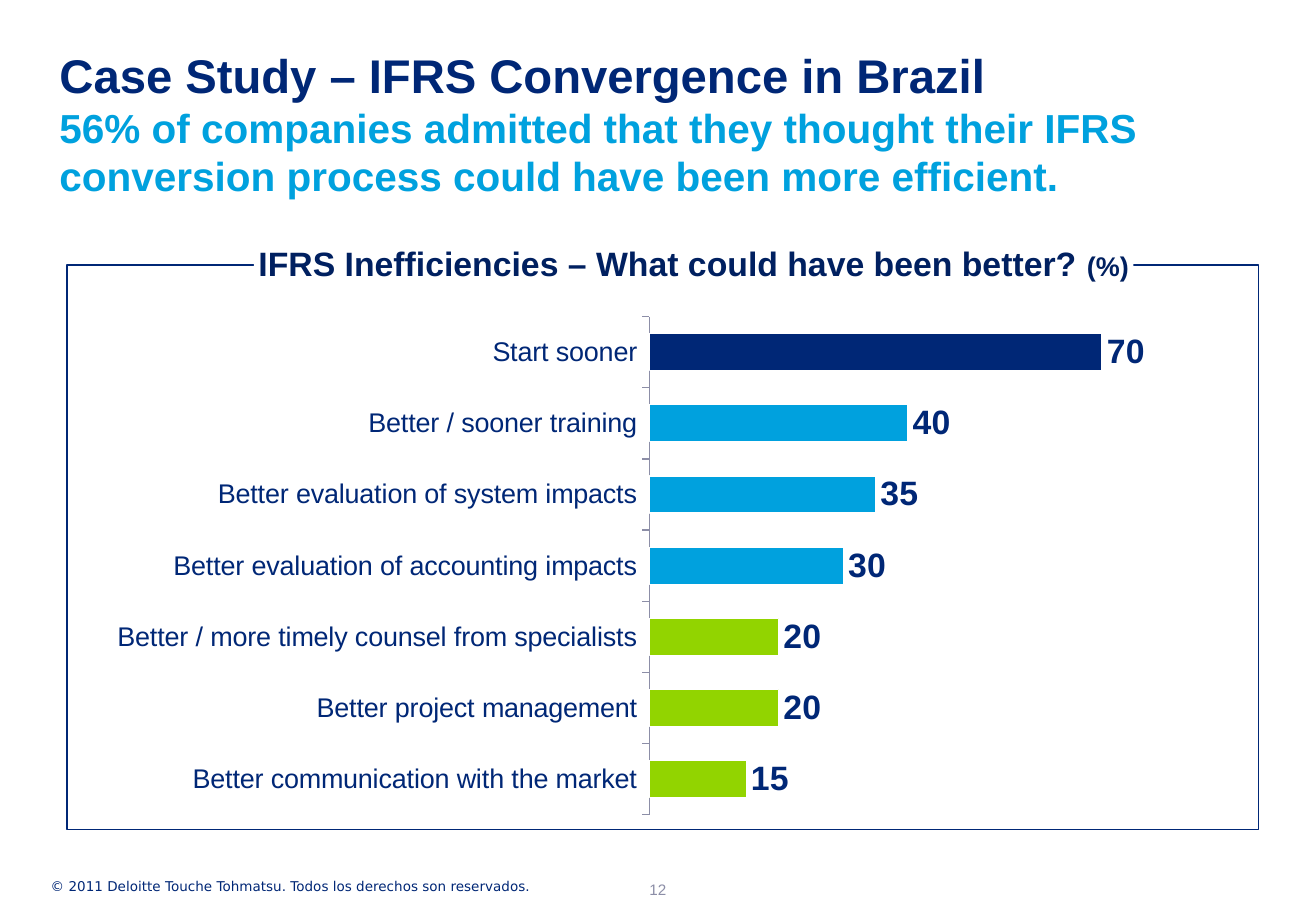
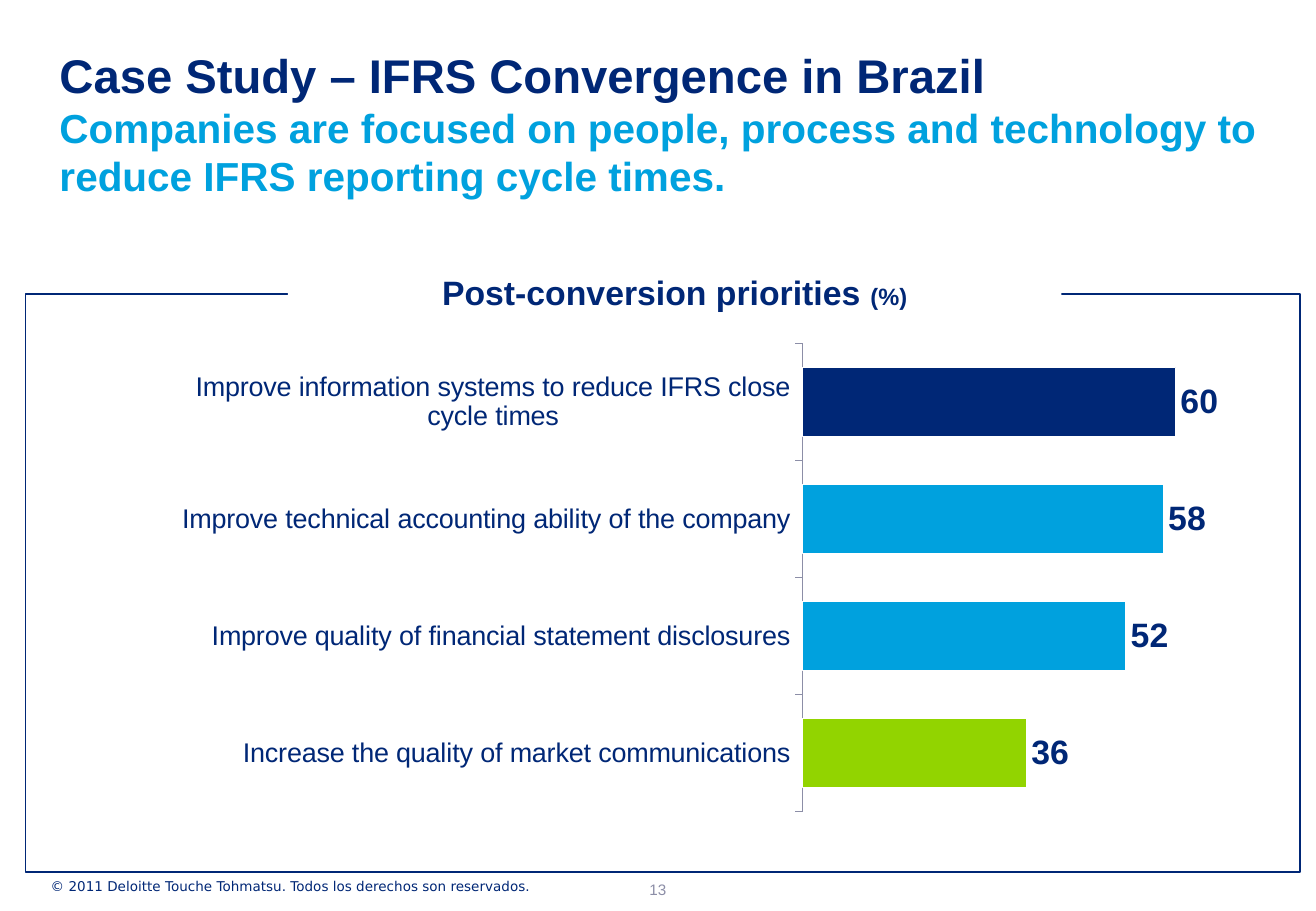
"""Build two slides of horizontal bar charts on IFRS convergence in Brazil."""
import dataclasses

import pptx
import pptx.chart.data
import pptx.dml.color
import pptx.enum.chart
import pptx.enum.shapes
import pptx.enum.text
import pptx.oxml
import pptx.oxml.ns
import pptx.util

Pt = pptx.util.Pt
Color = pptx.dml.color.RGBColor.from_string
Align = pptx.enum.text.PP_ALIGN
Anchor = pptx.enum.text.MSO_ANCHOR


@dataclasses.dataclass(frozen=True)
class Theme:
    navy: str = "002776"
    deep_navy: str = "002060"
    blue: str = "00A1DE"
    green: str = "92D400"
    gray: str = "8C8EA7"
    white: str = "FFFFFF"
    font: str = "Arial"
    footer_font: str = "DejaVu Sans"
    title_size: int = 28
    subtitle_size: int = 24
    caption_size: int = 20
    label_size: int = 16
    number_size: int = 9
    footer_size: int = 8


theme = Theme()


def style_font(font, size, color, bold=False, name=theme.font):
    for key, value in {"name": name, "size": Pt(size), "bold": bold}.items():
        setattr(font, key, value)
    font.color.rgb = Color(color)


def write_text(box, spans, align=Align.LEFT, anchor=Anchor.TOP, margins=(0, 0), line=None):
    frame = box.text_frame
    across, down = Pt(margins[0]), Pt(margins[1])
    settings = {
        "word_wrap": True, "vertical_anchor": anchor,
        "margin_left": across, "margin_right": across,
        "margin_top": down, "margin_bottom": down,
    }
    for key, value in settings.items():
        setattr(frame, key, value)
    para = frame.paragraphs[0]
    para.alignment = align
    if line:
        para.line_spacing = Pt(line)
    for text, font_values in spans:
        span = para.add_run()
        span.text = text
        style_font(span.font, **font_values)


pages = [
    {
        "number": "12",
        "subtitle": "56% of companies admitted that they thought their IFRS "
                    "conversion process could have been more efficient.",
        "frame": (39.6, 157, 706.3, 334.8),
        "caption_box": (150.5, 144, 521.3, 24.5),
        "caption": "IFRS Inefficiencies – What could have been better? ",
        "caption_color": theme.deep_navy,
        "unit_size": 16,
        "chart_box": (46.1, 179.3, 694.1, 311.8),
        "plot": {"x": 0.488, "y": 0.027, "w": 0.442, "h": 0.947},
        "maximum": 80,
        "gap": 92,
        "bars": [
            ("Better communication with the market", 15, theme.green),
            ("Better project management", 20, theme.green),
            ("Better / more timely counsel from specialists", 20, theme.green),
            ("Better evaluation of accounting impacts", 30, theme.blue),
            ("Better evaluation of system impacts", 35, theme.blue),
            ("Better / sooner training", 40, theme.blue),
            ("Start sooner", 70, theme.navy),
        ],
    },
    {
        "number": "13",
        "subtitle": "Companies are focused on people, process and technology to "
                    "reduce IFRS reporting cycle times.",
        "frame": (15.1, 174.2, 755.3, 342.7),
        "caption_box": (170.6, 161.3, 458.6, 24.5),
        "caption": "Post-conversion priorities ",
        "caption_color": theme.navy,
        "unit_size": 14,
        "chart_box": (95.8, 198, 632.2, 289.4),
        "plot": {"x": 0.601, "y": 0.019, "w": 0.379, "h": 0.96},
        "maximum": 65,
        "gap": 70,
        "bars": [
            ("Increase the quality of market communications", 36, theme.green),
            ("Improve quality of financial statement disclosures", 52, theme.blue),
            ("Improve technical accounting ability of the company", 58, theme.blue),
            ("Improve information systems to reduce IFRS close cycle times", 60, theme.navy),
        ],
    },
]

deck = pptx.Presentation()
deck.slide_width, deck.slide_height = Pt(780), Pt(540)

for page in pages:
    slide = deck.slides.add_slide(deck.slide_layouts[6])
    shapes = slide.shapes

    title = shapes.add_textbox(Pt(35.3), Pt(35.3), Pt(710.6), Pt(25.9))
    write_text(title, [("Case Study – IFRS Convergence in Brazil",
                        {"size": theme.title_size, "color": theme.navy, "bold": True})],
               anchor=Anchor.BOTTOM, line=26)
    subtitle = shapes.add_textbox(Pt(35.3), Pt(61.2), Pt(710.6), Pt(58.3))
    write_text(subtitle, [(page["subtitle"],
                           {"size": theme.subtitle_size, "color": theme.blue, "bold": True})],
               line=28.5)

    rectangle = pptx.enum.shapes.MSO_SHAPE.RECTANGLE
    border = shapes.add_shape(rectangle, *map(Pt, page["frame"]))
    border.shadow.inherit = False
    border.fill.background()
    border.line.color.rgb = Color(theme.navy)
    border.line.width = Pt(1)

    caption = shapes.add_shape(rectangle, *map(Pt, page["caption_box"]))
    caption.shadow.inherit = False
    caption.fill.solid()
    caption.fill.fore_color.rgb = Color(theme.white)
    caption.line.fill.background()
    caption_font = {"color": page["caption_color"], "bold": True}
    write_text(caption, [(page["caption"], {"size": theme.caption_size, **caption_font}),
                         ("(%)", {"size": page["unit_size"], **caption_font})],
               align=Align.CENTER)

    names, values, colors = zip(*page["bars"])
    data = pptx.chart.data.CategoryChartData()
    data.categories = names
    data.add_series("Series 1", values)
    chart = shapes.add_chart(pptx.enum.chart.XL_CHART_TYPE.BAR_CLUSTERED,
                             *map(Pt, page["chart_box"]), data).chart
    chart.has_title = False
    chart.has_legend = False
    style_font(chart.font, 18, theme.navy)

    category_axis = chart.category_axis
    category_axis.major_tick_mark = pptx.enum.chart.XL_TICK_MARK.OUTSIDE
    category_axis.has_major_gridlines = False
    category_axis.format.line.color.rgb = Color(theme.gray)
    category_axis.format.line.width = Pt(0.75)
    style_font(category_axis.tick_labels.font, theme.label_size, theme.navy)
    axis_settings = {"minimum_scale": 0, "maximum_scale": page["maximum"],
                     "has_major_gridlines": False, "visible": False}
    for key, value in axis_settings.items():
        setattr(chart.value_axis, key, value)

    plot = chart.plots[0]
    plot.gap_width = page["gap"]
    plot.vary_by_categories = False
    plot.has_data_labels = True
    labels = plot.data_labels
    labels.show_value = True
    labels.position = pptx.enum.chart.XL_LABEL_POSITION.OUTSIDE_END
    style_font(labels.font, theme.caption_size, theme.navy, bold=True)

    series = plot.series[0]
    series.invert_if_negative = False
    series.format.fill.solid()
    series.format.fill.fore_color.rgb = Color(theme.blue)
    for index, color in enumerate(colors):
        bar = series.points[index].format
        bar.fill.solid()
        bar.fill.fore_color.rgb = Color(color)
        bar.line.color.rgb = Color(theme.white)
        bar.line.width = Pt(0.75)

    plot_area = chart.element.find(".//" + pptx.oxml.ns.qn("c:plotArea"))
    for old_layout in plot_area.findall(pptx.oxml.ns.qn("c:layout")):
        plot_area.remove(old_layout)
    settings = '<c:layoutTarget val="inner"/><c:xMode val="edge"/><c:yMode val="edge"/>'
    settings += "".join(f'<c:{key} val="{value}"/>' for key, value in page["plot"].items())
    plot_area.insert(0, pptx.oxml.parse_xml(
        f'<c:layout {pptx.oxml.ns.nsdecls("c")}><c:manualLayout>{settings}'
        '</c:manualLayout></c:layout>'))

    footer = shapes.add_textbox(Pt(23), Pt(517), Pt(401.8), Pt(17.3))
    write_text(footer, [("© 2011 Deloitte Touche Tohmatsu. Todos los derechos son reservados.",
                         {"size": theme.footer_size, "color": theme.navy,
                          "name": theme.footer_font})], margins=(7.2, 3.6))
    number = shapes.add_textbox(Pt(298.8), Pt(507.6), Pt(182.2), Pt(28.8))
    write_text(number, [(page["number"], {"size": theme.number_size, "color": theme.gray})],
               align=Align.CENTER, anchor=Anchor.BOTTOM, margins=(7.2, 3.6))

deck.save("out.pptx")
